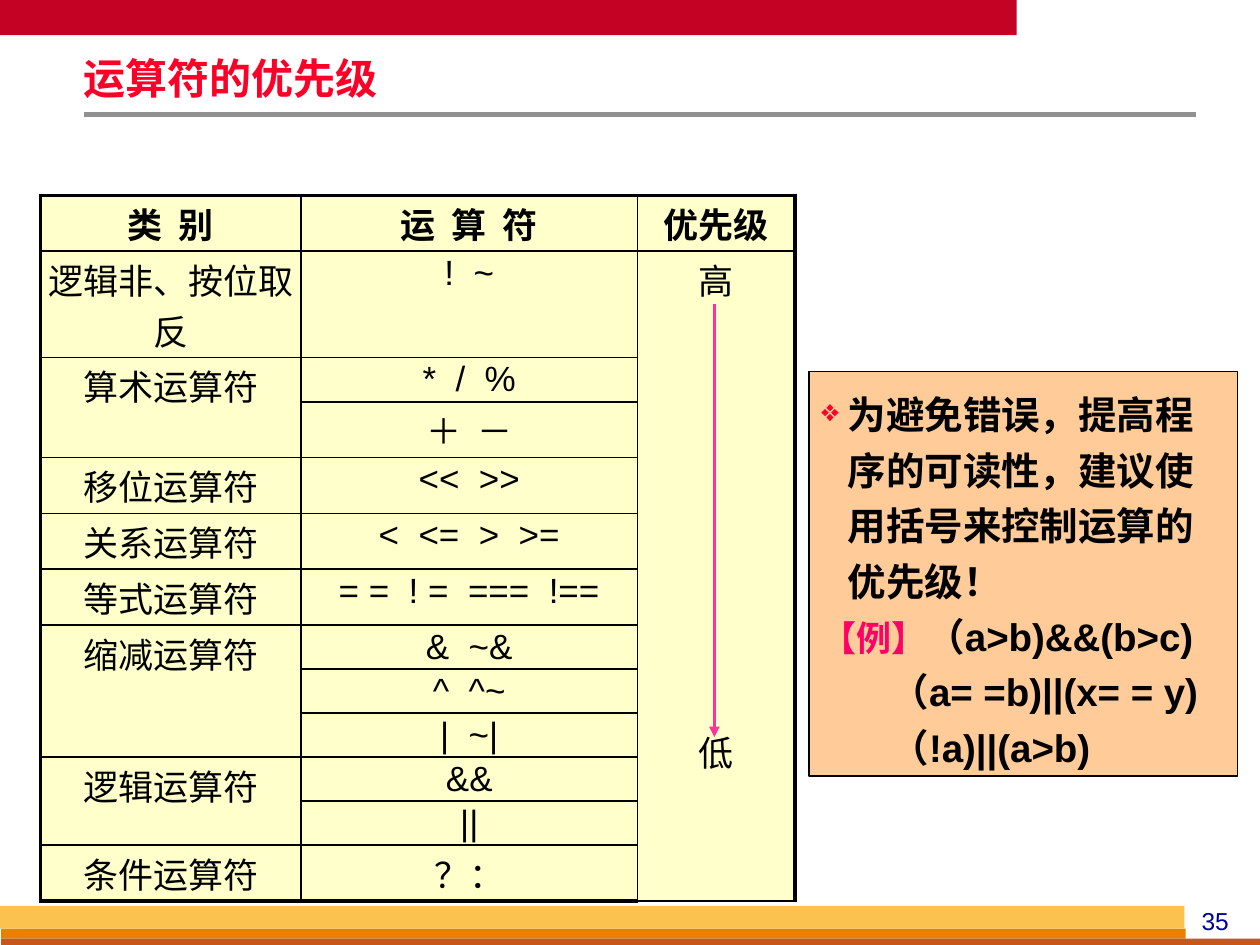
"""Build the slide on operator precedence with its table and advice box."""
from lxml.etree import SubElement as Sub
from pptx import Presentation as Deck
from pptx.dml.color import RGBColor as Rgb
from pptx.enum.shapes import MSO_CONNECTOR as Conn, MSO_SHAPE as Kind
from pptx.enum.text import MSO_ANCHOR as Anchor, MSO_AUTO_SIZE as Fit, PP_ALIGN as Align
from pptx.oxml.ns import qn
from pptx.util import Inches, Pt

theme = {
    "red": "C30224", "gray": "919191", "amber": "FCC24F", "orange": "E88000",
    "rust": "C95616", "navy": "000099", "title": "FC0128", "black": "000000",
    "cream": "FFFFCC", "peach": "FFCC99", "rose": "FF0066", "pink": "FF3399",
    "head": 24, "note": 22, "cell": 20, "page": 14,
    "sans": "Arial", "serif": "Times New Roman", "cjk": "Noto Sans CJK SC",
}

deck = Deck()
deck.slide_width, deck.slide_height = Inches(10), Inches(7.5)
unit = deck.slide_width / 100
slide = deck.slides.add_slide(deck.slide_layouts[5])
shapes = slide.shapes


def grid(*steps):
    return [round(step * unit) for step in steps]


def write(par, text, face="sans", size="cell", tint="black", bold=False):
    run = par.add_run()
    run.text = text
    form = {"name": theme[face], "size": Pt(theme[size]), "bold": bold}
    for key, value in form.items():
        setattr(run.font, key, value)
    run.font.color.rgb = Rgb.from_string(theme[tint])
    Sub(run.font._element, qn("a:ea"), typeface=theme["cjk"])


bars = [
    ("red", 0, 0, 80.7, 2.8),
    ("orange", 0.1, 73.7, 94, 0.8),
    ("rust", 0.1, 74.5, 99.9, 0.5),
    ("amber", 0, 71.9, 94, 1.8),
    ("peach", 64.2, 29.5, 34, 32.1),
]
for tint, *place in bars:
    bar = shapes.add_shape(Kind.RECTANGLE, *grid(*place))
    bar.shadow.inherit = False
    bar.fill.solid()
    bar.fill.fore_color.rgb = Rgb.from_string(theme[tint])
    bar.line.fill.background()
note = bar
note.line.color.rgb = Rgb.from_string(theme["black"])
note.line.width = Pt(0.75)

title = shapes.title
title.left, title.top, title.width, title.height = grid(5.9, 4.4, 85, 4.1)
page = shapes.add_textbox(*grid(93.3, 71.4, 6.3, 3.3))
for key, value in {"margin_left": 0.07, "margin_right": 0.07,
                   "margin_top": 0.03, "margin_bottom": 0.03}.items():
    setattr(title.text_frame, key, Inches(value))
for frame, anchor in [(title.text_frame, Anchor.MIDDLE),
                      (page.text_frame, Anchor.TOP), (note.text_frame, Anchor.BOTTOM)]:
    form = {"word_wrap": True, "auto_size": Fit.NONE, "vertical_anchor": anchor}
    for key, value in form.items():
        setattr(frame, key, value)
par = title.text_frame.paragraphs[0]
par.alignment, par.line_spacing = Align.LEFT, 0.87
write(par, "运算符的优先级", "serif", "head", "title", True)
par = page.text_frame.paragraphs[0]
par.alignment = Align.CENTER
write(par, "35", size="page", tint="navy")

groups = [
    ("类  别", ["运  算  符"]),
    ("逻辑非、按位取反", ["!  ~"]),
    ("算术运算符", ["*  /  %", "＋  －"]),
    ("移位运算符", ["<<  >>"]),
    ("关系运算符", ["<  <=  >  >="]),
    ("等式运算符", ["= =  ! =  ===  !=="]),
    ("缩减运算符", ["&  ~&", "^  ^~", "|  ~|"]),
    ("逻辑运算符", ["&&", "||"]),
    ("条件运算符", ["？："]),
]
short, tall = 3.45, 4.36
highs = [tall, 8.4, short] + [tall] * 4 + [short] * 5 + [tall]
wides = [20.7, 26.7, 12.5]
last = len(highs) - 1
table = shapes.add_table(len(highs), 3, *grid(3.2, 15.5, sum(wides), sum(highs))).table
table.first_row = table.horz_banding = False
for col, wide in zip(table.columns, grid(*wides)):
    col.width = wide
for row, high in zip(table.rows, grid(*highs)):
    row.height = high

for r in range(last + 1):
    for c in range(3):
        cell = table.cell(r, c)
        form = {"margin_left": 0.03, "margin_right": 0.03,
                "margin_top": 0.02, "margin_bottom": 0.02}
        for key, value in form.items():
            setattr(cell, key, Inches(value))
        edges = {"lnL": c == 0, "lnR": c == 2, "lnT": r == 0, "lnB": r == last}
        for tag, outer in edges.items():
            line = Sub(cell._tc.get_or_add_tcPr(), qn("a:" + tag),
                       w=str(Pt(2.25 if outer else 1)))
            Sub(Sub(line, qn("a:solidFill")), qn("a:srgbClr"), val=theme["black"])
        cell.fill.solid()
        cell.fill.fore_color.rgb = Rgb.from_string(theme["cream"])

texts = [(0, 2, "优先级"), (1, 2, "高")]
r = 0
for name, signs in groups:
    texts.append((r, 0, name))
    texts += [(r + i, 1, sign) for i, sign in enumerate(signs)]
    if len(signs) > 1:
        table.cell(r, 0).merge(table.cell(r + len(signs) - 1, 0))
    r += len(signs)
rank = table.cell(1, 2)
rank.merge(table.cell(last, 2))
for r, c, text in texts:
    par = table.cell(r, c).text_frame.paragraphs[0]
    par.alignment = Align.CENTER
    write(par, text, bold=r == 0)
par = rank.text_frame.add_paragraph()
par.alignment, par.space_before = Align.CENTER, Pt(241)
write(par, "低")

lines = [
    (0.21, -0.21, [("为避免错误，提高程序的可读性，建议使用括号来控制运算的优先级！",
                    "cjk", "note", "black")]),
    (0.21, -0.21, [("【例】", "sans", "cell", "rose"),
                   ("（a>b)&&(b>c)", "sans", "note", "black")]),
    (0.55, 0, [("（a= =b)||(x= = y)", "sans", "note", "black")]),
    (0.55, 0, [("（!a)||(a>b)", "sans", "note", "black")]),
]
for i, (left, hang, runs) in enumerate(lines):
    frame = note.text_frame
    par = frame.add_paragraph() if i else frame.paragraphs[0]
    props = par._p.get_or_add_pPr()
    props.set("marL", str(Inches(left)))
    props.set("indent", str(Inches(hang)))
    if i == 0:
        Sub(Sub(props, qn("a:buClr")), qn("a:srgbClr"), val=theme["title"])
        Sub(props, qn("a:buSzPct"), val="80000")
        Sub(props, qn("a:buChar"), char="❖")
    par.alignment, par.line_spacing = Align.LEFT, 1.2
    for run in runs:
        write(par, *run, bold=True)

rules = [("gray", 3, (6.7, 9.1, 94.9, 9.1)), ("pink", 1.75, (56.7, 24.1, 56.7, 58.5))]
for tint, width, ends in rules:
    rule = shapes.add_connector(Conn.STRAIGHT, *grid(*ends))
    rule.line.color.rgb = Rgb.from_string(theme[tint])
    rule.line.width = Pt(width)
    Sub(rule._element.spPr, qn("a:effectLst"))
Sub(rule.line._get_or_add_ln(), qn("a:tailEnd"), type="triangle")

deck.save("out.pptx")
